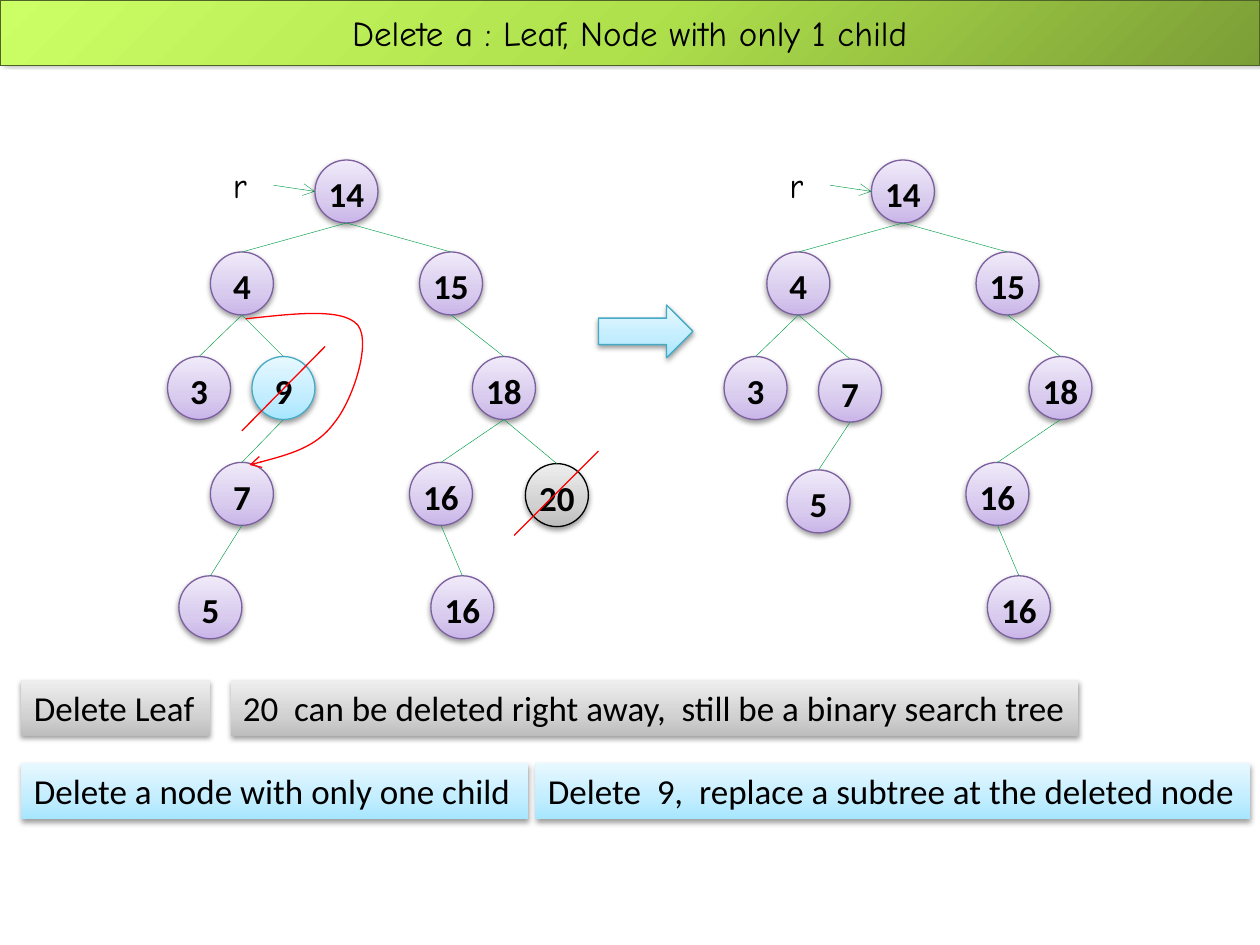
from dataclasses import dataclass
from typing import Any, Optional

import pptx
import pptx.dml.color
import pptx.enum.shapes
import pptx.enum.text
import pptx.oxml
import pptx.oxml.ns
import pptx.util

Inches = pptx.util.Inches
Pt = pptx.util.Pt
MSO_SHAPE = pptx.enum.shapes.MSO_SHAPE
ALIGN = pptx.enum.text.PP_ALIGN
ANCHOR = pptx.enum.text.MSO_ANCHOR
NS = pptx.oxml.ns.nsdecls("a")
DIAMETER = 0.5
RADIUS = DIAMETER / 2
RESULT_OFFSET = 53 / 12
GREEN, RED, BLACK = "009E47", "FF0000", "000000"
UPWARD = '<a:lin ang="16200000" scaled="1"/>'
FROM_CORNER = '<a:path path="circle"><a:fillToRect l="100000" t="100000"/></a:path>'


@dataclass(frozen=True)
class Look:
    stops: tuple[tuple[int, str], ...]
    outline: Optional[str]
    direction: str = UPWARD
    shadow: tuple[float, float, int, int] = (3.1, 1.6, 90, 38)


@dataclass(frozen=True)
class Node:
    key: str
    left: float
    top: float
    children: tuple["Node", ...] = ()
    look: Optional[Look] = None


@dataclass(frozen=True)
class Caption:
    text: str
    left: float
    top: float
    width: float
    look: Optional[Look] = None
    font: str = "Calibri"


PURPLE = Look(((0, "C9B5E8"), (35, "D8CBEE"), (100, "F0EAF9")), "7D60A0")
BLUE_STOPS = ((0, "A7E6FF"), (35, "C1EDFF"), (100, "E7F8FF"))
GREY_STOPS = ((0, "BDBDBD"), (35, "D1D1D1"), (100, "EEEEEE"))
BLUE, BLUE_BAND = Look(BLUE_STOPS, "46AAC5"), Look(BLUE_STOPS, None)
GREY, GREY_BAND = Look(GREY_STOPS, BLACK), Look(GREY_STOPS, None)
TITLE_LOOK = Look(((0, "7B9E36"), (50, "AFE14C"), (100, "CCFF66")), "4F6228",
                  FROM_CORNER, (4, 3, 315, 40))

THREE = Node("3", 1.33, 2.83)
SIXTEEN = Node("16", 3.25, 3.67, (Node("16", 3.42, 4.57),))
EIGHTEEN = Node("18", 3.75, 2.83, (SIXTEEN,))
FIFTEEN = Node("15", 3.33, 2, (EIGHTEEN,))
TWENTY = Node("20", 4.17, 3.68, look=GREY)
NINE = Node("9", 2, 2.83, (Node("7", 1.67, 3.67, (Node("5", 1.42, 4.57),)),), BLUE)
SEVEN_MOVED = Node("7", 2.08, 2.85, (Node("5", 1.83, 3.73),))
BEFORE, AFTER = (
    Node("14", 2.5, 1.27, (Node("4", 1.67, 2, (THREE, replaced)), FIFTEEN))
    for replaced in (NINE, SEVEN_MOVED)
)
CAPTIONS = (
    Caption("Delete Leaf", 0.17, 5.4, 1.5, GREY_BAND),
    Caption("20  can be deleted right away,  still be a binary search tree",
            1.83, 5.4, 6.73, GREY_BAND),
    Caption("Delete a node with only one child", 0.17, 6.06, 4.02, BLUE_BAND),
    Caption("Delete  9,  replace a subtree at the deleted node", 4.25, 6.06, 5.67, BLUE_BAND),
)
DETOUR = ((1.95, 2.53), (2.33, 2.49), (2.72, 2.44), (2.84, 2.58), (2.95, 2.72),
          (2.8, 3.18), (2.65, 3.36), (2.51, 3.55), (2.25, 3.62), (1.98, 3.69))


def color(value: str) -> pptx.dml.color.RGBColor:
    return pptx.dml.color.RGBColor.from_string(value)


def assign(target: Any, values: dict[str, Any]) -> None:
    for name, value in values.items():
        setattr(target, name, value)


def swap(properties: Any, tag: str, xml: str) -> None:
    properties.replace(properties.find(pptx.oxml.ns.qn(tag)), pptx.oxml.parse_xml(xml))


def dress(shape: Any, look: Look) -> None:
    shape.fill.background()
    shape.shadow.inherit = False
    if look.outline:
        stroke(shape, look.outline, 0.75)
    else:
        shape.line.fill.background()
    stops = "".join(f'<a:gs pos="{place * 1000}"><a:srgbClr val="{value}"/></a:gs>'
                    for place, value in look.stops)
    swap(shape._element.spPr, "a:noFill",
         f'<a:gradFill {NS} rotWithShape="1"><a:gsLst>{stops}</a:gsLst>{look.direction}</a:gradFill>')
    blur, distance, angle, opacity = look.shadow
    swap(shape._element.spPr, "a:effectLst",
         f'<a:effectLst {NS}><a:outerShdw blurRad="{Pt(blur)}" dist="{Pt(distance)}" '
         f'dir="{angle * 60000}" rotWithShape="0"><a:srgbClr val="{BLACK}">'
         f'<a:alpha val="{opacity * 1000}"/></a:srgbClr></a:outerShdw></a:effectLst>')


def stroke(shape: Any, value: str, width: float, arrow: bool = False) -> None:
    shape.line.color.rgb = color(value)
    shape.line.width = Pt(width)
    if arrow:
        shape.line._get_or_add_ln().append(
            pptx.oxml.parse_xml(f'<a:tailEnd {NS} type="arrow"/>'))


def write(shape: Any, text: str, font: str, frame: dict[str, Any],
          align: Any = ALIGN.CENTER, bold: bool = False) -> Any:
    assign(shape.text_frame, {"word_wrap": True, **frame})
    paragraph = shape.text_frame.paragraphs[0]
    paragraph.alignment = align
    run = paragraph.add_run()
    run.text = text
    assign(run.font, {"name": font, "size": Pt(20), "bold": bold})
    run.font.color.rgb = color(BLACK)
    return paragraph


def draw_line(shapes: Any, start: tuple[float, float], end: tuple[float, float],
              value: str, width: float, arrow: bool = False) -> Any:
    line = shapes.add_connector(pptx.enum.shapes.MSO_CONNECTOR.STRAIGHT,
                                *map(Inches, (*start, *end)))
    stroke(line, value, width, arrow)
    line._element.spPr.append(pptx.oxml.parse_xml(f"<a:effectLst {NS}/>"))
    return line


def draw_shape(shapes: Any, kind: Any, left: float, top: float, width: float,
               height: float, look: Look) -> Any:
    shape = shapes.add_shape(kind, *map(Inches, (left, top, width, height)))
    dress(shape, look)
    return shape


def draw_tree(shapes: Any, node: Node, offset: float = 0, parent: Optional[Node] = None) -> None:
    left = node.left + offset
    circle = draw_shape(shapes, MSO_SHAPE.OVAL, left, node.top, DIAMETER, DIAMETER,
                        node.look or PURPLE)
    write(circle, node.key, "Calibri",
          {"margin_left": 0, "margin_right": 0, "margin_bottom": 0,
           "margin_top": Inches(0.04), "vertical_anchor": ANCHOR.MIDDLE}, bold=True)
    if parent:
        edge = draw_line(shapes, (parent.left + offset + RADIUS, parent.top + DIAMETER),
                         (left + RADIUS, node.top), GREEN, 0.25)
        edge.end_connect(circle, 0)
    for child in node.children:
        draw_tree(shapes, child, offset, node)


def draw_caption(shapes: Any, caption: Caption) -> None:
    place = (caption.left, caption.top, caption.width, 0.44)
    if caption.look:
        band = draw_shape(shapes, MSO_SHAPE.RECTANGLE, *place, caption.look)
    else:
        band = shapes.add_textbox(*map(Inches, place))
    paragraph = write(band, caption.text, caption.font,
                      {"vertical_anchor": ANCHOR.TOP,
                       "auto_size": pptx.enum.text.MSO_AUTO_SIZE.SHAPE_TO_FIT_TEXT}, ALIGN.LEFT)
    indents = paragraph._p.get_or_add_pPr()
    indents.set("marL", str(Inches(0.5)))
    indents.set("indent", str(Inches(-0.5)))


def draw_rooted_tree(shapes: Any, root: Node, offset: float = 0) -> None:
    draw_caption(shapes, Caption("r", 1.75 + offset, 1.25, 0.42, font="Comic Neue"))
    draw_line(shapes, (2.17 + offset, 1.47), (root.left + offset, root.top + RADIUS),
              GREEN, 0.25, True)
    draw_tree(shapes, root, offset)


def draw_detour(shapes: Any) -> None:
    builder = shapes.build_freeform(*map(Inches, DETOUR[0]), scale=1.0)
    builder.add_line_segments([tuple(map(Inches, point)) for point in DETOUR[1:]], close=False)
    detour = builder.convert_to_shape()
    detour.fill.background()
    detour.shadow.inherit = False
    stroke(detour, RED, 0.75, True)
    segments = list(detour._element.iter(pptx.oxml.ns.qn("a:lnTo")))
    for first in range(0, len(segments), 3):
        curve = pptx.oxml.parse_xml(f"<a:cubicBezTo {NS}/>")
        segments[first].addprevious(curve)
        for segment in segments[first:first + 3]:
            curve.append(segment[0])
            segment.getparent().remove(segment)


def main() -> None:
    deck = pptx.Presentation()
    assign(deck, {"slide_width": Inches(10), "slide_height": Inches(7.5)})
    shapes = deck.slides.add_slide(deck.slide_layouts[6]).shapes
    title = draw_shape(shapes, MSO_SHAPE.RECTANGLE, 0, 0, 10, 0.52, TITLE_LOOK)
    write(title, "Delete a : Leaf, Node with only 1 child", "Comic Neue",
          {"vertical_anchor": ANCHOR.MIDDLE})
    draw_rooted_tree(shapes, BEFORE)
    result = shapes.add_group_shape().shapes
    draw_rooted_tree(result, AFTER, RESULT_OFFSET)
    draw_shape(result, MSO_SHAPE.RIGHT_ARROW, 4.75, 2.42, 0.75, 0.42, BLUE)
    for caption in CAPTIONS:
        draw_caption(shapes, caption)
    removed_leaf = shapes.add_group_shape().shapes
    draw_tree(removed_leaf, TWENTY, parent=EIGHTEEN)
    draw_line(removed_leaf, (4.08, 4.25), (4.75, 3.58), RED, 0.75)
    draw_line(shapes, (1.92, 3.42), (2.58, 2.75), RED, 0.75)
    draw_detour(shapes)
    deck.save("out.pptx")


if __name__ == "__main__":
    main()
